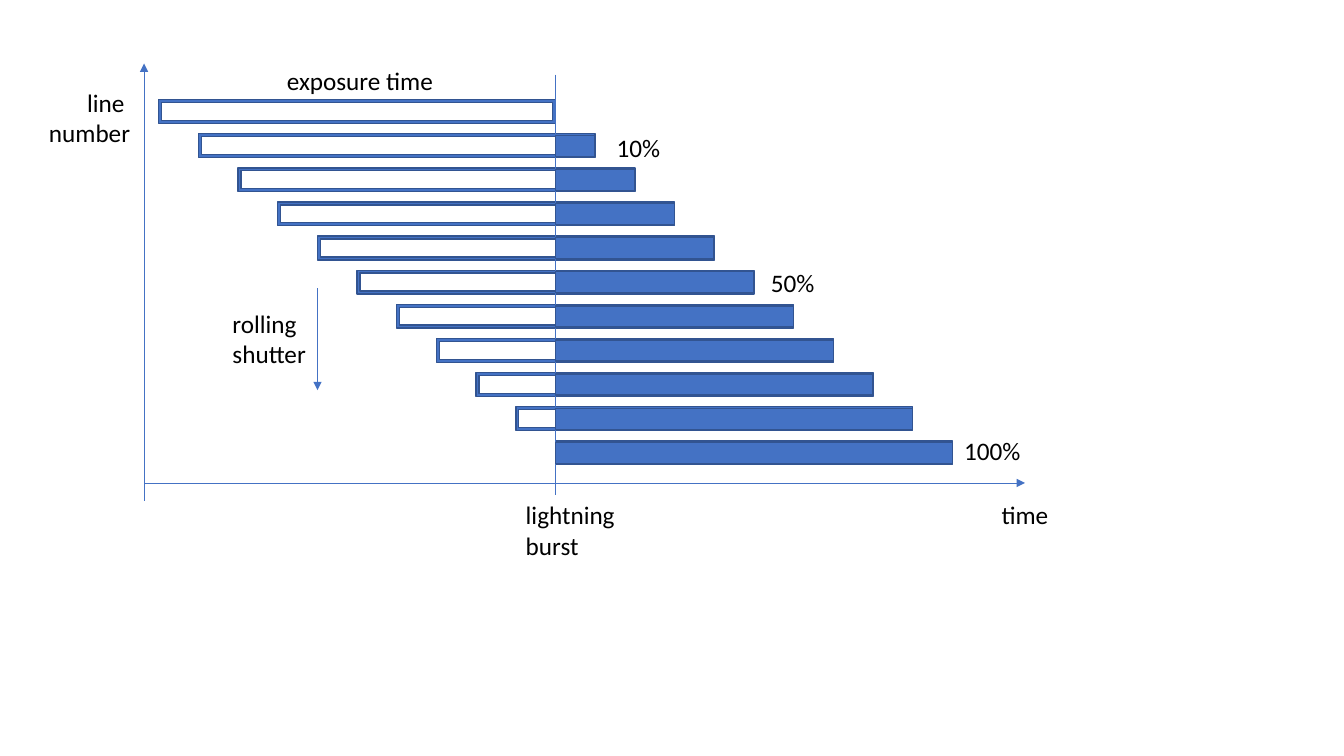
"""Build the rolling shutter exposure diagram slide."""
from typing import NamedTuple

from pptx import Presentation
from pptx.dml import color
from pptx.enum import shapes, text
from pptx.oxml import ns, xmlchemy
from pptx.util import Cm, Pt

BLUE, DARK_BLUE, BLACK = "4472C4", "325491", "000000"
ROWS = 11
FIRST_LEFT, FIRST_TOP = 4.0, 2.51
EXPOSURE, DELAY, PITCH = 10.0, 1.0, 0.86
FRAME_HEIGHT, LIT_HEIGHT, LIT_OFFSET = 0.6, 0.53, 0.04
BURST = FIRST_LEFT + EXPOSURE


class Bar(NamedTuple):
    kind: shapes.MSO_SHAPE
    left: float
    top: float
    width: float
    height: float


class Line(NamedTuple):
    start: tuple[float, float]
    end: tuple[float, float]
    arrow: bool = True


class Label(NamedTuple):
    words: str
    left: float
    top: float
    width: float
    height: float = 1.03
    align: text.PP_ALIGN = text.PP_ALIGN.LEFT


def rgb(value: str) -> color.RGBColor:
    """Turn a hex string into a colour."""
    return color.RGBColor.from_string(value)


def draw_bar(page, bar: Bar) -> None:
    """Draw one frame or filled bar."""
    shape = page.shapes.add_shape(bar.kind, *map(Cm, bar[1:]))
    shape.shadow.inherit = False
    shape.fill.solid()
    shape.fill.fore_color.rgb = rgb(BLUE)
    shape.line.color.rgb = rgb(DARK_BLUE)
    shape.line.width = Pt(1)


def draw_line(page, line: Line) -> None:
    """Draw a thin line, with an arrowhead at its end if asked."""
    connector = page.shapes.add_connector(
        shapes.MSO_CONNECTOR.STRAIGHT, *map(Cm, line.start + line.end))
    connector.line.color.rgb = rgb(BLUE)
    connector.line.width = Pt(0.5)
    if line.arrow:
        head = xmlchemy.OxmlElement("a:tailEnd")
        head.set("type", "triangle")
        connector.line._get_or_add_ln().append(head)
    properties = connector._element.find(ns.qn("p:spPr"))
    properties.append(xmlchemy.OxmlElement("a:effectLst"))


def draw_label(page, label: Label) -> None:
    """Write one label, a paragraph for each line of words."""
    box = page.shapes.add_textbox(*map(Cm, label[1:5]))
    frame = box.text_frame
    frame.word_wrap = False
    frame.auto_size = text.MSO_AUTO_SIZE.SHAPE_TO_FIT_TEXT
    frame.text = label.words
    for paragraph in frame.paragraphs:
        paragraph.alignment = label.align
        for span in paragraph.runs:
            span.font.name = "Calibri"
            span.font.size = Pt(18)
            span.font.color.rgb = rgb(BLACK)


FRAMES = [
    Bar(shapes.MSO_SHAPE.FRAME, FIRST_LEFT + row * DELAY,
        FIRST_TOP + row * PITCH, EXPOSURE, FRAME_HEIGHT)
    for row in range(ROWS)
]
LIT_BARS = [
    Bar(shapes.MSO_SHAPE.RECTANGLE, BURST,
        FIRST_TOP + row * PITCH + LIT_OFFSET, row * DELAY, LIT_HEIGHT)
    for row in range(1, ROWS)
]
LINES = [
    Line((3.63, 12.17), (25.83, 12.17)),
    Line((3.63, 12.62), (3.63, 1.6)),
    Line((8.0, 7.26), (8.0, 9.83)),
    Line((BURST, 1.88), (BURST, 12.47), arrow=False),
]
LABELS = [
    Label("time", 24.99, 12.47, 1.7),
    Label("lightning\nburst", 13.0, 12.47, 2.79, 1.8),
    Label("line \nnumber", 0.94, 2.08, 2.59, 1.8, text.PP_ALIGN.RIGHT),
    Label("10%", 15.29, 3.2, 1.63),
    Label("50%", 19.18, 6.6, 1.63),
    Label("100%", 24.05, 10.85, 1.96),
    Label("exposure time", 6.98, 1.52, 4.24),
    Label("rolling\nshutter", 5.61, 7.65, 2.39, 1.8),
]


def main() -> None:
    """Assemble and save the slide."""
    deck = Presentation()
    deck.slide_width, deck.slide_height = Cm(33.87), Cm(19.05)
    page = deck.slides.add_slide(deck.slide_layouts[6])
    for bar in FRAMES:
        draw_bar(page, bar)
    for line in LINES:
        draw_line(page, line)
    for bar in LIT_BARS:
        draw_bar(page, bar)
    for label in LABELS:
        draw_label(page, label)
    deck.save("out.pptx")


main()
